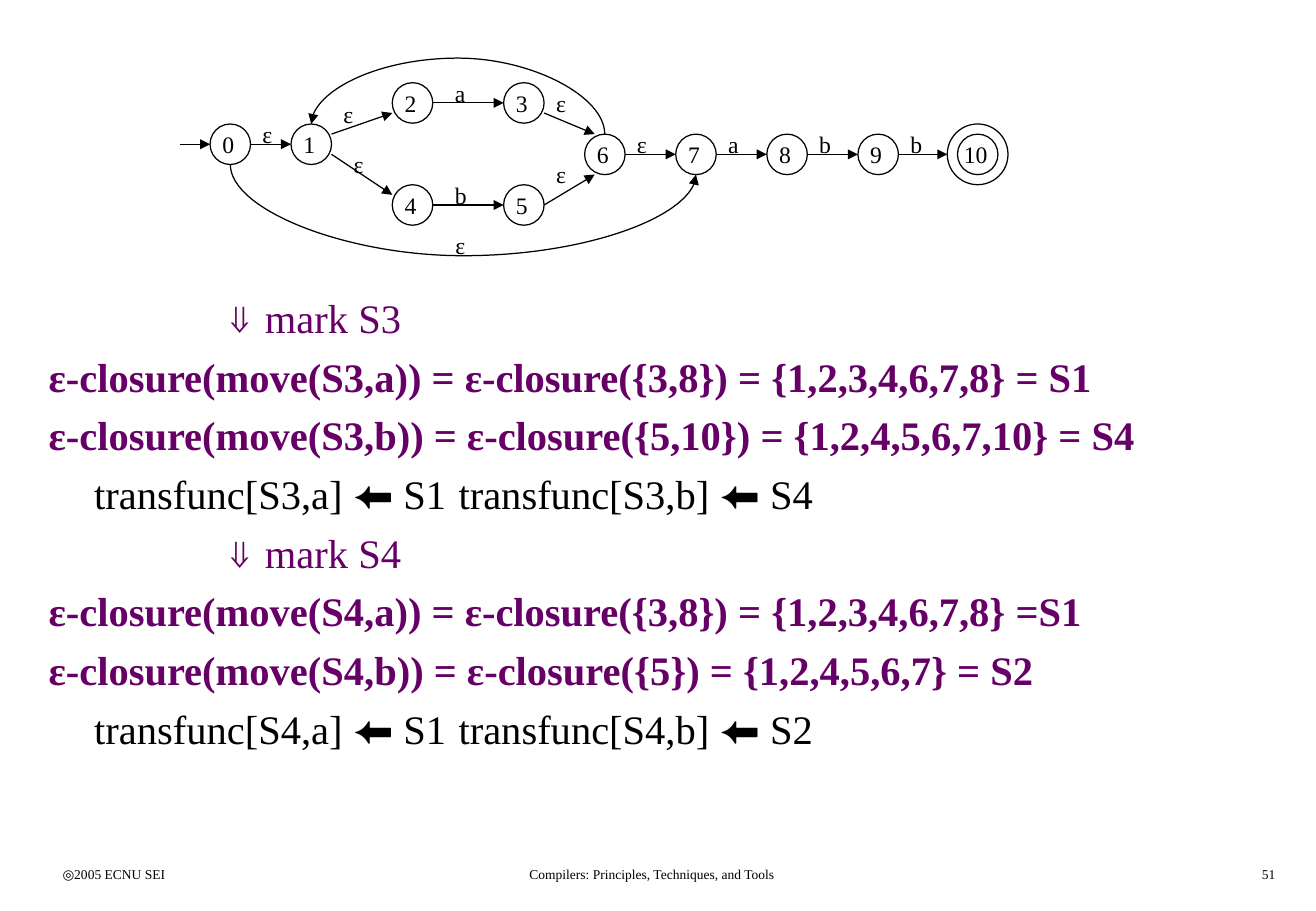
import pptx
import pptx.util
import pptx.dml.color
import pptx.enum.shapes
import pptx.enum.text
import pptx.oxml
import pptx.oxml.ns

Pt = pptx.util.Pt
ALIGN = pptx.enum.text.PP_ALIGN
CONNECTOR = pptx.enum.shapes.MSO_CONNECTOR
OVAL = pptx.enum.shapes.MSO_SHAPE.OVAL
BLACK = pptx.dml.color.RGBColor(0x00, 0x00, 0x00)
PURPLE = pptx.dml.color.RGBColor(0x66, 0x00, 0x66)
FONT = "Times New Roman"
RADIUS = 12

deck = pptx.Presentation()
deck.slide_width, deck.slide_height = Pt(780), Pt(540)
slide = deck.slides.add_slide(deck.slide_layouts[1])
title = slide.shapes.title
title.element.getparent().remove(title.element)


def write(frame, text, size, align=ALIGN.LEFT):
    frame.text = text
    paragraph = frame.paragraphs[0]
    paragraph.alignment = align
    font = paragraph.runs[0].font
    font.name, font.size, font.color.rgb = FONT, Pt(size), BLACK


def add_arrow(kind, x1, y1, x2, y2):
    arrow = slide.shapes.add_connector(kind, Pt(x1), Pt(y1), Pt(x2), Pt(y2))
    arrow.line.color.rgb = BLACK
    arrow.line.width = Pt(0.75)
    head = pptx.oxml.ns.qn("a:tailEnd")
    line = arrow.line._get_or_add_ln()
    line.append(line.makeelement(head, {"type": "triangle"}))
    properties = arrow._element.spPr
    properties.append(properties.makeelement(pptx.oxml.ns.qn("a:effectLst"), {}))
    return arrow


# Footer
for text, left, width, align in [
    ("◎2005 ECNU SEI", 30, 163, ALIGN.LEFT),
    ("Compilers: Principles, Techniques, and Tools", 240.5, 292, ALIGN.CENTER),
    ("51", 600, 163, ALIGN.RIGHT),
]:
    footer = slide.shapes.add_textbox(Pt(left), Pt(510), Pt(width), Pt(18))
    footer.text_frame.word_wrap = True
    write(footer.text_frame, text, 8, align)

# Subset construction steps: text, left margin, first-line indent, bold, colour
steps = []
for state, closure_a, closure_b, target_b, equals in [
    ("S3", "{3,8}", "{5,10}) = {1,2,4,5,6,7,10}", "S4", "= "),
    ("S4", "{3,8}", "{5}) = {1,2,4,5,6,7}", "S2", "="),
]:
    steps += [
        (f"⇓ mark {state}", 105, 0, False, PURPLE),
        (f"ε-closure(move({state},a)) = ε-closure({closure_a}) = {{1,2,3,4,6,7,8}} {equals}S1",
         27, -27, True, PURPLE),
        (f"ε-closure(move({state},b)) = ε-closure({closure_b} = {target_b}",
         27, -27, True, PURPLE),
        (f"transfunc[{state},a] ⬅ S1\ttransfunc[{state},b] ⬅ {target_b}",
         27, 0, False, BLACK),
    ]

body = slide.placeholders[1]
body.left, body.top, body.width, body.height = Pt(21.6), Pt(170), Pt(738), Pt(300)
body.text_frame.auto_size = pptx.enum.text.MSO_AUTO_SIZE.NONE
body.text_frame.text = "\n".join(step[0] for step in steps)
for number, (paragraph, step) in enumerate(zip(body.text_frame.paragraphs, steps)):
    _, margin, indent, bold, color = step
    layout = paragraph._p.get_or_add_pPr()
    layout.set("marL", str(Pt(margin)))
    layout.set("indent", str(Pt(indent)))
    layout.append(layout.makeelement(pptx.oxml.ns.qn("a:buNone"), {}))
    paragraph.space_before = Pt(6 if number else 0)
    for run in paragraph.runs:
        run.font.name, run.font.size = FONT, Pt(24)
        run.font.bold, run.font.color.rgb = bold, color

# Automaton states: centre of each circle
states = {
    0: (136.5, 85.5), 1: (184.5, 85.5),
    2: (244.5, 61), 3: (310.5, 61), 4: (244.5, 121.5), 5: (310.5, 121.5),
    6: (358.5, 91.5), 7: (412.5, 91.5), 8: (466.5, 91.5), 9: (520.5, 91.5),
    10: (579.5, 91.5),
}
circles = [(str(state), x, y, RADIUS) for state, (x, y) in states.items()]
circles.append(("", *states[10], 18))  # accepting ring
for name, x, y, radius in circles:
    circle = slide.shapes.add_shape(
        OVAL, Pt(x - radius), Pt(y - radius), Pt(2 * radius), Pt(2 * radius))
    circle.shadow.inherit = False
    circle.fill.background()
    circle.line.color.rgb = BLACK
    circle.line.width = Pt(0.75)
    if name:
        frame = circle.text_frame
        frame.margin_left = frame.margin_top = frame.margin_bottom = 0
        frame.margin_right = Pt(2.4)
        frame.word_wrap = False
        frame.vertical_anchor = pptx.enum.text.MSO_ANCHOR.MIDDLE
        write(frame, name, 14, ALIGN.CENTER)

# Horizontal transitions: source, target, symbol, label offset
labels = [("ε", 262.8, 133.2)]
for source, target, symbol, offset in [
    (0, 1, "ε", 0), (2, 3, "a", 6), (4, 5, "b", 6), (6, 7, "ε", 0),
    (7, 8, "a", 0), (8, 9, "b", 0), (9, 10, "b", 0),
]:
    x1, y = states[source]
    x2 = states[target][0] - (18 if target == 10 else RADIUS)
    add_arrow(CONNECTOR.STRAIGHT, x1 + RADIUS, y, x2, y)
    labels.append((symbol, x1 + RADIUS + offset, y - 18))
add_arrow(CONNECTOR.STRAIGHT, 106.5, 85.5, 124.5, 85.5)

# Slanted transitions: ends, then label corner
for x1, y1, x2, y2, left, top in [
    (196.5, 79.5, 232.5, 67, 196.5, 55.5),
    (196.5, 91.5, 232.5, 115.5, 202.5, 85.5),
    (322.5, 67, 352.5, 79.5, 322.5, 49),
    (322.5, 121.5, 352.5, 103.5, 322.5, 91.5),
]:
    add_arrow(CONNECTOR.STRAIGHT, x1, y1, x2, y2)
    labels.append(("ε", left, top))

for symbol, left, top in labels:
    label = slide.shapes.add_textbox(Pt(left), Pt(top), Pt(21.6), Pt(24))
    label.text_frame.word_wrap = False
    write(label.text_frame, symbol, 14)

# Curved transitions 6 to 1 and 0 to 7: a turned connector bulging by depth
for source, target, side, turn, depth in [(6, 1, -1, 90, 45), (0, 7, 1, 270, 54)]:
    (x1, y1), (x2, y2) = states[source], states[target]
    span, rise = abs(x2 - x1), abs(y2 - y1)
    x, y = (x1 + x2) / 2, (y1 + y2) / 2 + side * RADIUS
    curve = add_arrow(CONNECTOR.CURVE, x + rise / 2, y - span / 2,
                      x - rise / 2, y + span / 2)
    curve._element.spPr.xfrm.set("rot", str(turn * 60000))
    geometry = curve._element.spPr.find(pptx.oxml.ns.qn("a:prstGeom"))
    guides = geometry.find(pptx.oxml.ns.qn("a:avLst"))
    guides.append(guides.makeelement(pptx.oxml.ns.qn("a:gd"), {
        "name": "adj1", "fmla": f"val {round(depth / rise * 100000)}"}))

deck.save("out.pptx")
